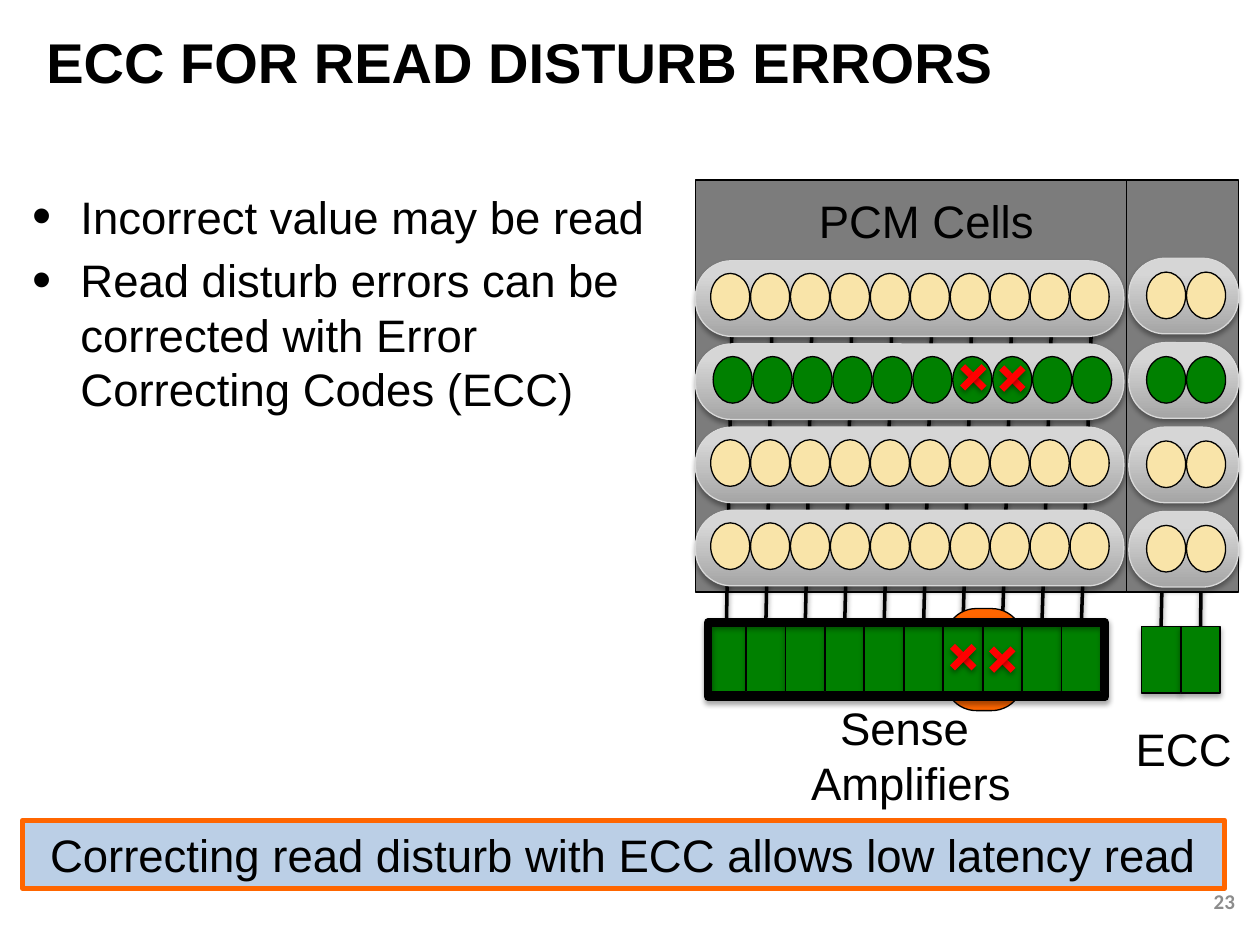
import dataclasses

import lxml.etree
import pptx
import pptx.dml.color
import pptx.enum.dml
import pptx.enum.shapes
import pptx.enum.text
import pptx.oxml.ns
import pptx.util

Inches, Pt = pptx.util.Inches, pptx.util.Pt
RGB = pptx.dml.color.RGBColor.from_string
KIND = pptx.enum.shapes.MSO_SHAPE
ALIGN = pptx.enum.text.PP_ALIGN
ANCHOR = pptx.enum.text.MSO_ANCHOR
FIT = pptx.enum.text.MSO_AUTO_SIZE.SHAPE_TO_FIT_TEXT


@dataclasses.dataclass(frozen=True)
class Theme:
    font: str = "Arial"
    small_font: str = "Calibri"
    title: int = 32
    body: int = 26
    small: int = 12
    black: str = "000000"
    grey: str = "8C8C8C"
    array: str = "7C7C7C"
    green: str = "008000"
    cream: str = "F9E4A9"
    orange: str = "FF6600"
    blue: str = "BBCFE6"
    red: str = "FF0000"
    dark: str = "A5A5A5"
    light: str = "D6D6D6"
    edge: str = "D8D8D8"
    thin: float = 0.75


def put(item, values):
    for name, value in values.items():
        setattr(item, name, value)


def node(parent, tag, **values):
    child = lxml.etree.SubElement(parent, pptx.oxml.ns.qn("a:" + tag))
    for name, value in values.items():
        child.set(name, str(value))
    return child


class Board:
    def __init__(self, slide, theme):
        self.slide, self.theme = slide, theme

    def shade(self, item, alpha, dist):
        """Add a soft shadow that falls straight down."""
        effects = node(item._element.spPr, "effectLst")
        cast = node(effects, "outerShdw", blurRad=Pt(3.1), dist=Pt(dist),
                    dir=5400000, rotWithShape=0)
        tint = node(cast, "srgbClr", val=self.theme.black)
        node(tint, "alpha", val=alpha * 1000)

    def fill_text(self, frame, lines, size=None, font=None, color=None,
                  bold=False, align=None, bullet=False):
        theme = self.theme
        for i, line in enumerate(lines):
            para = frame.add_paragraph() if i else frame.paragraphs[0]
            para.alignment = align
            run = para.add_run()
            run.text = line
            put(run.font, {"name": font or theme.font, "bold": bold,
                           "size": Pt(size or theme.body)})
            run.font.color.rgb = RGB(color or theme.black)
            if bullet:
                para.space_before = Pt(5)
                props = para._p.get_or_add_pPr()
                indent = Inches(0.38)
                props.set("marL", str(indent))
                props.set("indent", str(-indent))
                node(props, "buSzPct", val=120000)
                node(props, "buFont", typeface=theme.font)
                node(props, "buChar", char="•")

    def text(self, box, lines, frame=None, **style):
        item = self.slide.shapes.add_textbox(*map(Inches, box))
        put(item.text_frame, {"word_wrap": True, **(frame or {})})
        self.fill_text(item.text_frame, lines, **style)

    def shape(self, kind, box, fill=None, line=None, width=None, adj=None,
              shadow=False):
        item = self.slide.shapes.add_shape(kind, *map(Inches, box))
        if fill:
            item.fill.solid()
            item.fill.fore_color.rgb = RGB(fill)
        else:
            item.fill.background()
        item.line.color.rgb = RGB(line or self.theme.black)
        item.line.width = Pt(width or self.theme.thin)
        if adj:
            item.adjustments[0] = adj
        if shadow:
            self.shade(item, 35, 1.8)
        else:
            item.shadow.inherit = False
        return item

    def line(self, start, end, color, width):
        item = self.slide.shapes.add_connector(
            pptx.enum.shapes.MSO_CONNECTOR.STRAIGHT,
            *map(Inches, (*start, *end)))
        item.line.color.rgb = RGB(color)
        item.line.width = Pt(width)
        self.shade(item, 38, 1.6)
        return item

    def cross(self, x, y, size=0.17):
        for top, base in ((y, y + size), (y + size, y)):
            self.line((x, top), (x + size, base), self.theme.red, 4)

    def wires(self, count, x, y, step):
        return [self.line((x + i * step, y), (x - 0.04 + i * step, 4.96),
                          self.theme.black, 2) for i in range(count)]

    def row(self, box, count, x, y, fill):
        """Draw a pill-shaped word line with its memory cells."""
        theme = self.theme
        pill = self.shape(KIND.ROUNDED_RECTANGLE, box, theme.dark, theme.edge,
                          adj=0.479, shadow=True)
        pill.fill.gradient()
        pill.fill.gradient_angle = 90
        for stop, color, place in zip(pill.fill.gradient_stops,
                                      (theme.dark, theme.light), (0, 0.8)):
            stop.color.rgb = RGB(color)
            stop.position = place
        for i in range(count):
            self.shape(KIND.OVAL, (x + i * 0.317, y, 0.31, 0.37), fill)

    def amps(self, wires, x, y):
        """Draw one sense amplifier under each wire and join the two."""
        for i, wire in enumerate(wires):
            amp = self.shape(KIND.RECTANGLE, (x + i * 0.313, y, 0.31, 0.53),
                             self.theme.green, shadow=True)
            wire.end_connect(amp, 0)


def main():
    theme = Theme()
    deck = pptx.Presentation()
    put(deck, {"slide_width": Inches(10), "slide_height": Inches(7.5)})
    board = Board(deck.slides.add_slide(deck.slide_layouts[6]), theme)
    middle = {"vertical_anchor": ANCHOR.MIDDLE}
    snug = {"word_wrap": False, "auto_size": FIT}
    fills = (theme.cream, theme.green, theme.cream, theme.cream)

    board.text((0.16, 1.45, 5.11, 2.16), [
        "Incorrect value may be read",
        "Read disturb errors can be corrected with Error Correcting Codes (ECC)",
    ], bullet=True)
    board.text((0.27, 0.22, 9.17, 0.53), ["ECC FOR READ DISTURB ERRORS"],
               middle, size=theme.title, bold=True)
    board.text((7.57, 6.95, 2.33, 0.4), ["23"], middle, size=theme.small,
               font=theme.small_font, color=theme.grey, bold=True,
               align=ALIGN.RIGHT)
    banner = board.shape(KIND.RECTANGLE, (0.18, 6.51, 9.54, 0.54), theme.blue,
                         theme.orange, 3)
    put(banner.text_frame, {"word_wrap": True, **middle})
    board.fill_text(banner.text_frame,
                    ["Correcting read disturb with ECC allows low latency read"],
                    align=ALIGN.CENTER)

    # Data array
    board.shape(KIND.RECTANGLE, (5.52, 1.43, 3.42, 3.27), theme.array)
    board.text((6.4, 1.48, 1.92, 0.54), ["PCM Cells"], snug)
    board.text((6.32, 5.51, 1.82, 0.98), ["Sense ", "Amplifiers "], snug,
               align=ALIGN.CENTER)
    wires = board.wires(10, 5.81, 2.56, 0.317)
    for i, fill in enumerate(fills):
        y = 2.07 + i * 0.66
        x = 5.66 if fill == theme.green else 5.64
        board.row((5.52, y, 3.4, 0.6), 10, x, y + 0.1, fill)
    board.shape(KIND.ROUNDED_RECTANGLE, (7.5, 4.83, 0.62, 0.81), theme.orange,
                adj=0.401)
    board.amps(wires, 5.61, 4.96)

    # ECC array
    board.text((8.91, 5.67, 0.97, 0.54), ["ECC"], snug, align=ALIGN.CENTER)
    wires = board.wires(2, 9.27, 2.54, 0.29)
    board.shape(KIND.RECTANGLE, (8.94, 1.43, 0.89, 3.27), theme.array)
    for i, fill in enumerate(fills):
        y = 2.05 + i * 0.67
        board.row((8.96, y, 0.87, 0.6), 2, 9.1, y + 0.11, fill)
    board.amps(wires, 9.06, 4.97)

    # Errors in the cells and in the amplifiers
    for x, y in ((7.64, 2.91), (7.95, 2.92), (7.56, 5.13), (7.87, 5.15)):
        board.cross(x, y)
    board.shape(KIND.RECTANGLE, (5.62, 4.94, 3.15, 0.59), width=5, shadow=True)

    deck.save("out.pptx")


if __name__ == "__main__":
    main()
